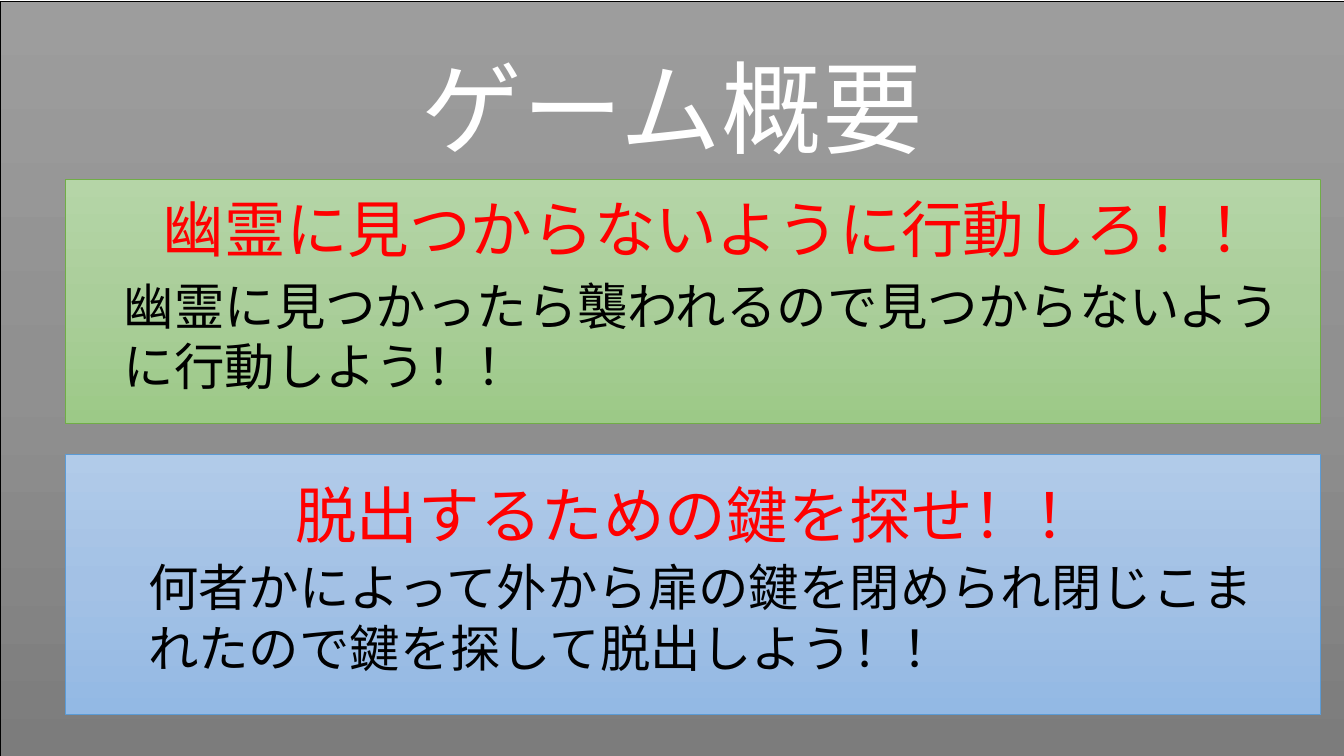
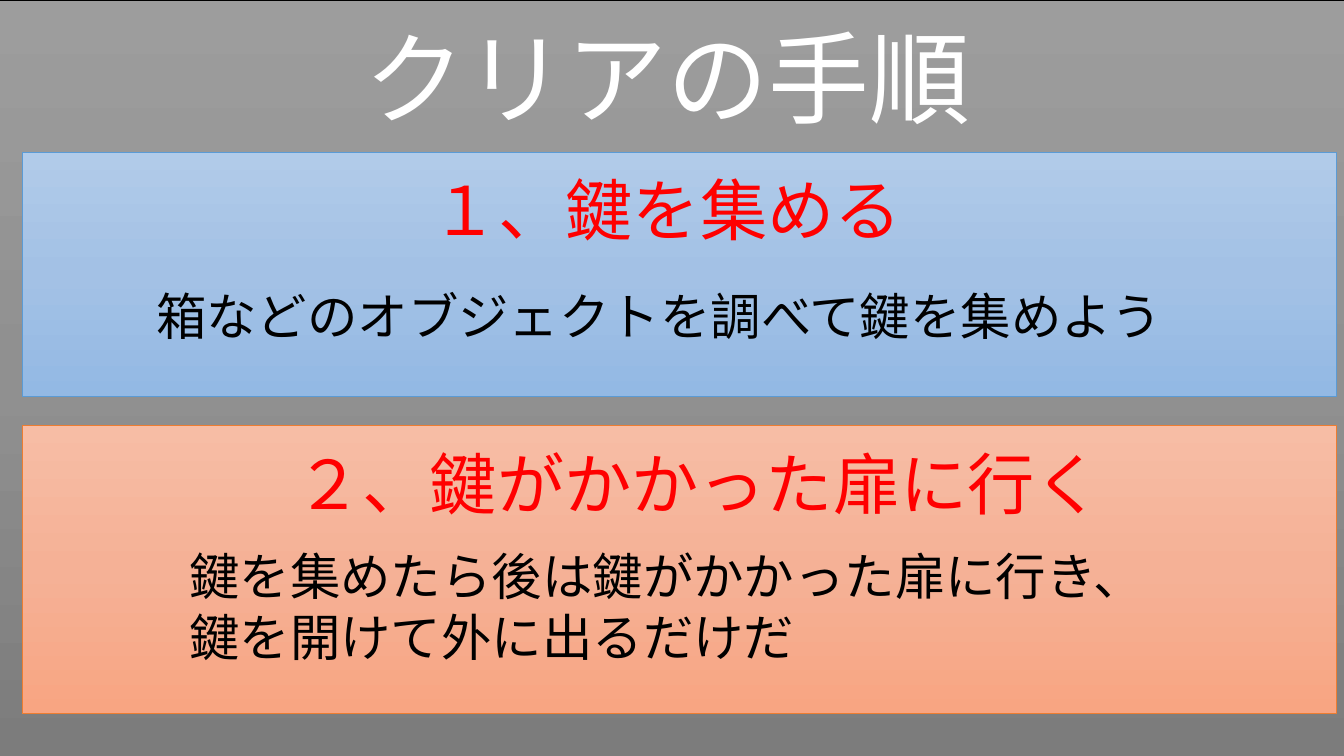
from lxml.etree import SubElement
from pptx import Presentation
from pptx.dml.color import RGBColor
from pptx.enum.shapes import MSO_SHAPE as Shape
from pptx.enum.text import MSO_ANCHOR as Anchor, MSO_AUTO_SIZE as AutoSize, PP_ALIGN as Align
from pptx.oxml.ns import qn
from pptx.util import Inches, Pt

CELL = Inches(0.1)  # one column or row of the layout grid
FONT = "Noto Sans CJK JP"
COLORS = {"white": "FFFFFF", "black": "000000", "red": "FF0000"}
# gradient from top to bottom, then the line colour
PANELS = {
    "gray": (("9D9D9D", "909090", "7C7C7C"), "000000"),
    "green": (("B5D5A7", "AACE9A", "9CC987"), "70AD47"),
    "blue": (("B1CBE9", "A3C1E5", "93B9E4"), "5B9BD5"),
    "orange": (("F7BDA5", "F5B196", "F8A582"), "ED7D31"),
}


def cells(*lengths):
    return [round(length * CELL) for length in lengths]


def add_solid(parent, color):
    fill = SubElement(parent, qn("a:solidFill"))
    SubElement(fill, qn("a:srgbClr"), val=color)


class Deck:
    """Holds the shared style and the current page; lengths are grid cells."""

    def __init__(self):
        self.deck = Presentation()
        self.deck.slide_width, self.deck.slide_height = Inches(13.33), Inches(7.5)
        self.page = None

    def new_page(self, title, backdrop_at, title_at):
        layout = self.deck.slide_layouts[5]
        self.page = self.deck.slides.add_slide(layout)
        heading = self.page.shapes.title
        backdrop = self.panel("gray", *backdrop_at, 134.4, 75)
        heading._element.addprevious(backdrop._element)
        heading.left, heading.top, heading.width, heading.height = cells(*title_at, 115, 14.5)
        frame = heading.text_frame
        frame.word_wrap, frame.auto_size = True, AutoSize.NONE
        frame.vertical_anchor = Anchor.MIDDLE
        para = frame.paragraphs[0]
        para.alignment, para.line_spacing = Align.CENTER, 0.9
        self.span(para, title, 72, "white")

    def panel(self, name, *place):
        """Add a rectangle with a three-stop vertical gradient."""
        stops, line = PANELS[name]
        box = self.page.shapes.add_shape(Shape.RECTANGLE, *cells(*place))
        box.shadow.inherit = False
        box.fill.gradient()
        box.fill.gradient_angle = 270
        stop_list = box._element.spPr.find(qn("a:gradFill")).find(qn("a:gsLst"))
        for old in list(stop_list):
            stop_list.remove(old)
        for index, color in enumerate(stops):
            stop = SubElement(stop_list, qn("a:gs"), pos=str(index * 50000))
            SubElement(stop, qn("a:srgbClr"), val=color)
        box.line.color.rgb = RGBColor.from_string(line)
        box.line.width = Pt(0.5)
        return box

    def span(self, para, text, size, color, outlined=False):
        span = para.add_run()
        span.text = text
        font = span.font
        font.size, font.name, font.bold = Pt(size), FONT, False
        font.color.rgb = RGBColor.from_string(COLORS[color])
        props = span._r.get_or_add_rPr()
        SubElement(props, qn("a:ea"), typeface=FONT)
        if outlined:
            outline = SubElement(props, qn("a:ln"), w=str(Pt(0.75)))
            add_solid(outline, COLORS["black"])
            props.insert(0, outline)

    def text(self, text, place, size, color, align, outlined=False):
        box = self.page.shapes.add_textbox(*cells(*place))
        frame = box.text_frame
        frame.word_wrap, frame.auto_size = True, AutoSize.SHAPE_TO_FIT_TEXT
        para = frame.paragraphs[0]
        para.alignment = align
        self.span(para, text, size, color, outlined)

    def headline(self, text, place, size, align=Align.CENTER):
        self.text(text, place, size, "red", align, outlined=True)

    def body(self, text, *place):
        self.text(text, place, 36, "black", Align.LEFT)


def build_overview(deck):
    left, width = 6.5, 124.5
    deck.new_page("ゲーム概要", (0, 0.1), (9.2, 4))

    deck.panel("green", left, 17.8, width, 24.2)
    deck.headline("幽霊に見つからないように行動しろ！！", (9, 18.4, 124.3, 8.4), 44)
    deck.body("幽霊に見つかったら襲われるので見つからないように行動しよう！！",
              11.3, 26.8, 118.2, 13.1)

    deck.panel("blue", left, 45.1, width, 25.8)
    deck.headline("脱出するための鍵を探せ！！", (28.3, 46.8, 83.8, 8.4), 44, Align.LEFT)
    deck.body("何者かによって外から扉の鍵を閉められ閉じこまれたので鍵を探して脱出しよう！！",
              13.7, 54.7, 114.7, 13.1)


def build_steps(deck):
    left, width = 2.2, 130.3
    deck.new_page("クリアの手順", (-1, 0), (8.7, 1.1))

    deck.panel("blue", left, 15.1, width, 24.2)
    deck.headline("１、鍵を集める", (3.7, 16.2, 124.8, 9.1), 48)
    deck.body("箱などのオブジェクトを調べて鍵を集めよう", 14.5, 27.8, 115, 7.1)

    deck.panel("orange", left, 42.2, width, 28.6)
    deck.headline("２、鍵がかかった扉に行く", (6.9, 43.4, 124.8, 9.1), 48)
    deck.body("鍵を集めたら後は鍵がかかった扉に行き、鍵を開けて外に出るだけだ",
              17.8, 53.6, 99, 13.1)


def main():
    deck = Deck()
    build_overview(deck)
    build_steps(deck)
    deck.deck.save("out.pptx")


if __name__ == "__main__":
    main()
